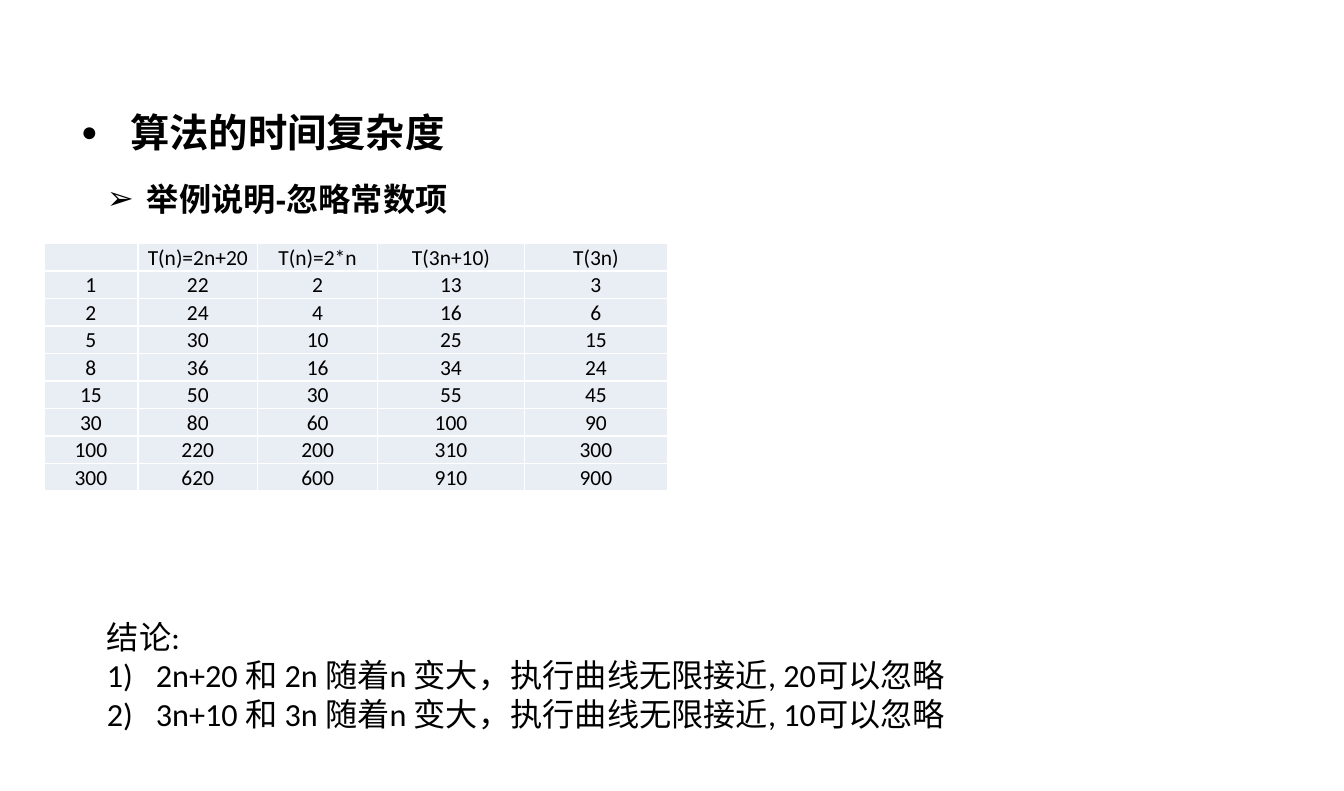
"""Build the slide on ignoring constant terms in time complexity."""
import lxml.etree
import pptx
import pptx.dml.color
import pptx.enum.text
import pptx.oxml.ns
import pptx.util

Inches = pptx.util.Inches
qn = pptx.oxml.ns.qn
COLORS = {"text": "000000", "cell": "E9EDF4", "border": "FFFFFF"}


def add_element(parent, tag, **attributes):
    return lxml.etree.SubElement(parent, qn(tag), attributes)


def write_text(para, text, size, font_name, bold=False):
    span = para.add_run()
    span.text = text
    span.font.color.rgb = pptx.dml.color.RGBColor.from_string(COLORS["text"])
    font_format = {"size": pptx.util.Pt(size), "name": font_name, "bold": bold}
    for name, value in font_format.items():
        setattr(span.font, name, value)


deck = pptx.Presentation()
deck.slide_width, deck.slide_height = Inches(10.43), Inches(6.14)
page = deck.slides.add_slide(deck.slide_layouts.get_by_name("Two Content"))
for placeholder in list(page.placeholders):
    if placeholder.placeholder_format.idx not in (0, 1, 2):
        placeholder.element.getparent().remove(placeholder.element)

dot = [("a:buClr", {}), ("a:buSzPct", {"val": "70000"}),
       ("a:buFont", {"typeface": "Arial"}), ("a:buChar", {"char": "●"})]
arrow = [("a:buFont", {"typeface": "Arial"}), ("a:buChar", {"char": "➢"})]
number = [("a:buFont", {"typeface": "+mj-lt"}), ("a:buAutoNum", {"type": "arabicParenR"})]
plain = [("a:buNone", {})]

text_blocks = [
    (0, (0.53, 0.83, 8.3, 0.43), 22, "Arial", True, 0.9,
     [("算法的时间复杂度", dot, 0.38)]),
    (1, (0.73, 1.34, 8.9, 1.31), 18, "Arial", True, 1.0,
     [("举例说明-忽略常数项", arrow, 0.31)]),
    (2, (0.73, 4.74, 8.9, 1.01), 18, "Calibri", False, 1.0,
     [("结论:", plain, 0),
      ("2n+20 和 2n 随着n 变大，执行曲线无限接近, 20可以忽略", number, 0.38),
      ("3n+10 和 3n 随着n 变大，执行曲线无限接近, 10可以忽略", number, 0.38)]),
]
frame_format = {
    "word_wrap": True,
    "auto_size": pptx.enum.text.MSO_AUTO_SIZE.NONE,
    "vertical_anchor": pptx.enum.text.MSO_ANCHOR.TOP,
}
for index, bounds, size, font_name, bold, spacing, lines in text_blocks:
    box = page.placeholders[index]
    for name, value in zip(("left", "top", "width", "height"), bounds):
        setattr(box, name, Inches(value))
    frame = box.text_frame
    for name, value in frame_format.items():
        setattr(frame, name, value)
    para_format = {
        "alignment": pptx.enum.text.PP_ALIGN.LEFT,
        "line_spacing": spacing,
        "space_before": pptx.util.Pt(0),
    }
    for position, (text, bullet, indent) in enumerate(lines):
        para = frame.add_paragraph() if position else frame.paragraphs[0]
        properties = para._p.get_or_add_pPr()
        properties.set("marL", str(Inches(indent)))
        properties.set("indent", str(Inches(-indent)))
        for tag, attributes in bullet:
            element = add_element(properties, tag, **attributes)
            if tag == "a:buClr":
                add_element(element, "a:srgbClr", val=COLORS["text"])
        for name, value in para_format.items():
            setattr(para, name, value)
        write_text(para, text, size, font_name, bold)

rows = [
    ("", "T(n)=2n+20", "T(n)=2*n", "T(3n+10)", "T(3n)"),
    (1, 22, 2, 13, 3),
    (2, 24, 4, 16, 6),
    (5, 30, 10, 25, 15),
    (8, 36, 16, 34, 24),
    (15, 50, 30, 55, 45),
    (30, 80, 60, 100, 90),
    (100, 220, 200, 310, 300),
    (300, 620, 600, 910, 900),
]
column_widths = (0.73, 0.93, 0.93, 1.14, 1.11)
table = page.shapes.add_table(
    len(rows), len(column_widths), Inches(0.34), Inches(1.89),
    Inches(sum(column_widths)), Inches(1.89)).table
table.first_row = table.horz_banding = False
for column, width in zip(table.columns, column_widths):
    column.width = Inches(width)

cell_format = {
    "margin_left": Inches(0.01),
    "margin_right": Inches(0.01),
    "margin_top": Inches(0.01),
    "margin_bottom": 0,
    "vertical_anchor": pptx.enum.text.MSO_ANCHOR.MIDDLE,
}
for row, values in zip(table.rows, rows):
    row.height = Inches(0.21)
    for cell, value in zip(row.cells, values):
        for name, setting in cell_format.items():
            setattr(cell, name, setting)
        properties = cell._tc.get_or_add_tcPr()
        for side in ("a:lnL", "a:lnR", "a:lnT", "a:lnB"):
            border = add_element(properties, side, w=str(pptx.util.Pt(1)))
            add_element(add_element(border, "a:solidFill"), "a:srgbClr", val=COLORS["border"])
        cell.fill.solid()
        cell.fill.fore_color.rgb = pptx.dml.color.RGBColor.from_string(COLORS["cell"])
        para = cell.text_frame.paragraphs[0]
        para.alignment = pptx.enum.text.PP_ALIGN.CENTER
        if value:
            write_text(para, str(value), 12, "Calibri")
        else:
            add_element(para._p, "a:endParaRPr", sz="1200")

deck.save("out.pptx")
